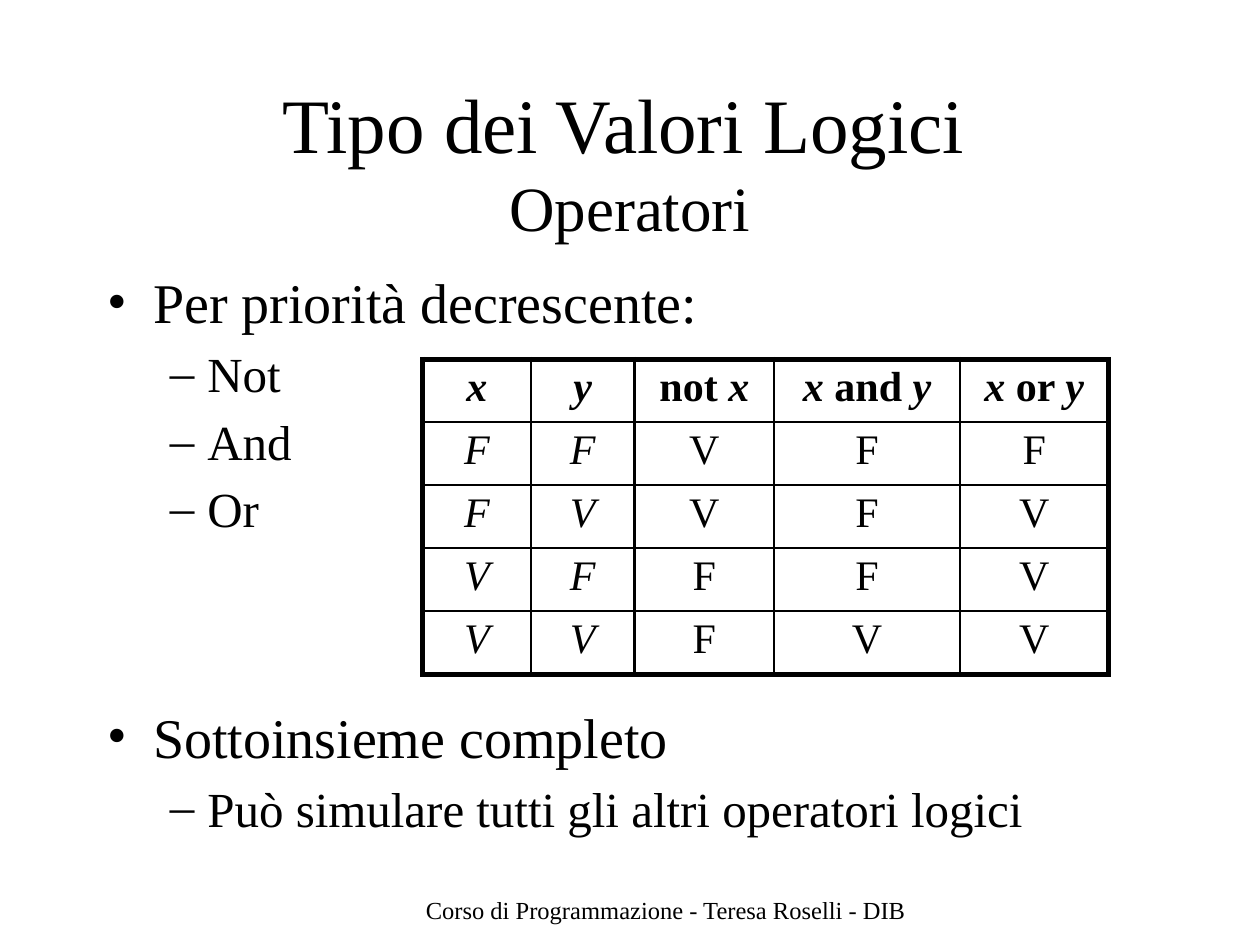
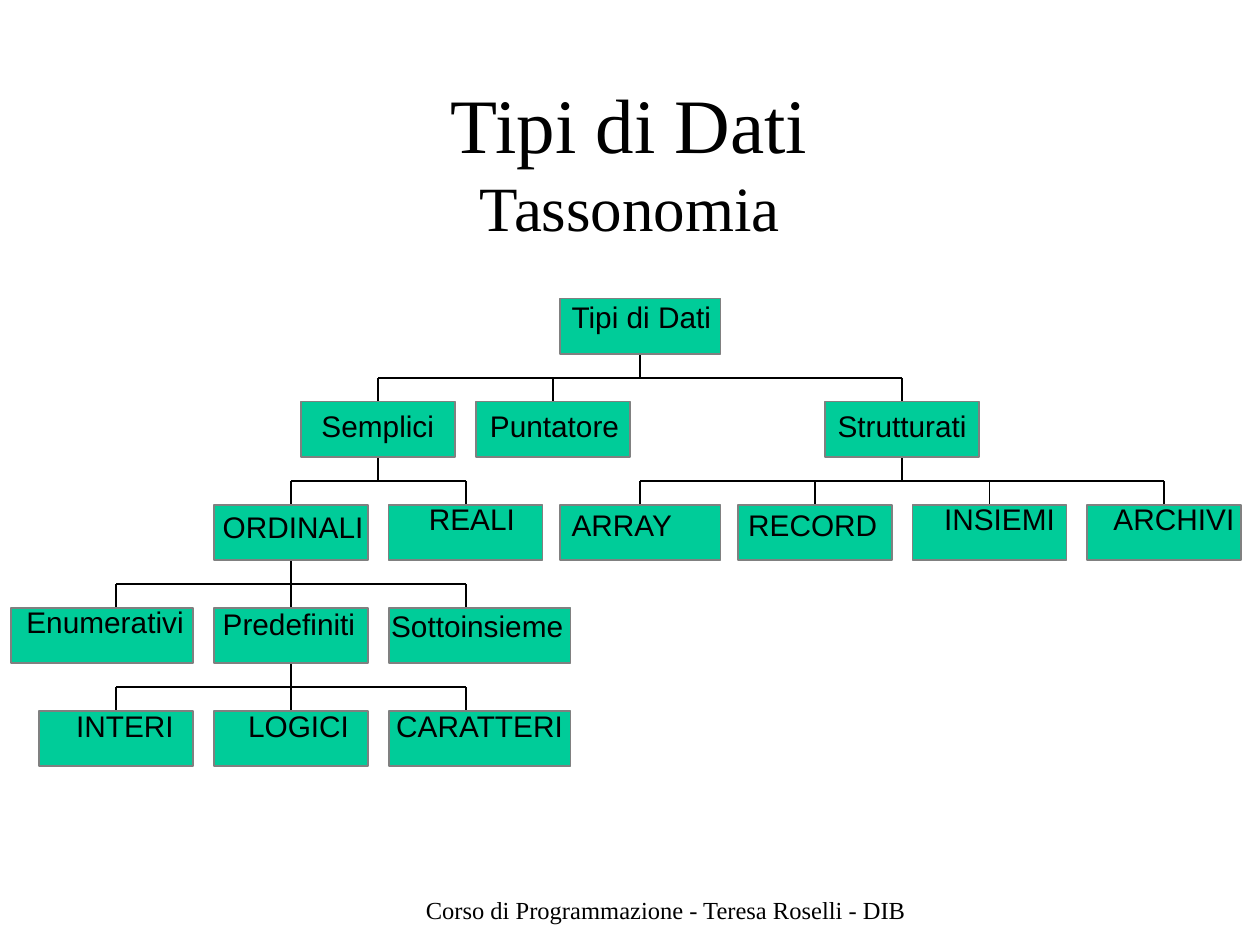
from dataclasses import dataclass

from lxml import etree
from pptx import Presentation
from pptx.dml.color import RGBColor
from pptx.enum import shapes, text
from pptx.oxml import ns
from pptx.util import Pt

COLORS = {"ink": "000000", "box": "00CC99", "box_line": "808080"}
SERIF, SANS = "Times New Roman", "Arial"
FOOTER = "Corso di Programmazione - Teresa Roselli - DIB"

BULLETS = {0: ("•", 27.5, -26, 32), 1: ("–", 58.5, -21.5, 28)}
PRIORITIES = [  # text, level, space before
    ("Per priorità decrescente:", 0, 0),
    ("Not", 1, 5),
    ("And", 1, 5),
    ("Or", 1, 5),
    ("Sottoinsieme completo", 0, 94),
    ("Può simulare tutti gli altri operatori logici", 1, 5),
]

TRUTH_TABLE = [
    ["x", "y", "not x", "x and y", "x or y"],
    ["F", "F", "V", "F", "F"],
    ["F", "V", "V", "F", "V"],
    ["V", "F", "F", "F", "V"],
    ["V", "V", "F", "V", "V"],
]
COLUMN_WIDTHS = [62, 59, 80, 106, 85]
ROW_HEIGHT = 36

TREE_LEFT, TREE_TOP = 66.5, 170.6
COLUMN_STEP, ROW_STEP = 99.8, 58.9
BOX_WIDTH, BOX_HEIGHT = 88, 31.7


@dataclass
class TypeNode:
    """A data type placed on the grid; extra widths widen its box on one side."""
    label: str
    parent: str
    column: float
    row: int
    indent: float
    inset_top: float = 0
    line_spacing: float = None
    extra_left: float = 0
    extra_right: float = 0

    @property
    def center(self):
        return TREE_LEFT + COLUMN_STEP * self.column

    @property
    def top(self):
        return TREE_TOP + ROW_STEP * self.row

    @property
    def bottom(self):
        return self.top + BOX_HEIGHT


TAXONOMY = [
    TypeNode("Tipi di Dati", "", 3, 0, 6.5, extra_left=1.8, extra_right=1.8),
    TypeNode("Semplici", "Tipi di Dati", 1.5, 1, 11.5, 3.5),
    TypeNode("Puntatore", "Tipi di Dati", 2.5, 1, 8, 3.5),
    TypeNode("Strutturati", "Tipi di Dati", 4.5, 1, 7, 3.5),
    TypeNode("ORDINALI", "Semplici", 1, 2, 5, 2.5),
    TypeNode("REALI", "Semplici", 2, 2, 23, 0, 18.4),
    TypeNode("ARRAY", "Strutturati", 3, 2, 6.5, 1.3, extra_left=1.8, extra_right=1.8),
    TypeNode("RECORD", "Strutturati", 4, 2, 5.8, 1.3),
    TypeNode("INSIEMI", "Strutturati", 5, 2, 18, 0, 18.4),
    TypeNode("ARCHIVI", "Strutturati", 6, 2, 15, 0, 18.4),
    TypeNode("Enumerativi", "ORDINALI", 0, 3, 8.6, 0, 18.4, extra_left=16),
    TypeNode("Predefiniti", "ORDINALI", 1, 3, 5, 0, 19.4),
    TypeNode("Sottoinsieme", "ORDINALI", 2, 3, 1.4, extra_right=16),
    TypeNode("INTERI", "Predefiniti", 0, 4, 21, 0, 18.5),
    TypeNode("LOGICI", "Predefiniti", 1, 4, 19.5, 0, 18.5),
    TypeNode("CARATTERI", "Predefiniti", 2, 4, 4.3, 0, 18.5, extra_right=16),
]


def color(name):
    return RGBColor.from_string(COLORS[name])


def add_run(paragraph, content, size=18, font=SERIF, bold=False, italic=False):
    run = paragraph.add_run()
    run.text = content
    run.font.size = Pt(size)
    run.font.name = font
    run.font.bold = bold
    run.font.italic = italic
    run.font.color.rgb = color("ink")


def place(shape, left, top, width, height):
    shape.left, shape.top = Pt(left), Pt(top)
    shape.width, shape.height = Pt(width), Pt(height)


def prepare_frame(shape, inset_left=0, inset_top=0):
    """Empty the insets, wrap and anchor at the top; return the first paragraph."""
    frame = shape.text_frame
    frame.word_wrap = True
    frame.auto_size = text.MSO_AUTO_SIZE.NONE
    frame.vertical_anchor = text.MSO_ANCHOR.TOP
    frame.margin_left, frame.margin_top = Pt(inset_left), Pt(inset_top)
    frame.margin_right = frame.margin_bottom = 0
    paragraph = frame.paragraphs[0]
    paragraph.alignment = text.PP_ALIGN.LEFT
    return paragraph


def write_text(shape, content, inset_left=0, inset_top=0, line_spacing=None, **style):
    paragraph = prepare_frame(shape, inset_left, inset_top)
    if line_spacing:
        paragraph.line_spacing = Pt(line_spacing)
    add_run(paragraph, content, **style)


def add_text_box(slide, content, left, top, width, height, **style):
    box = slide.shapes.add_textbox(Pt(left), Pt(top), Pt(width), Pt(height))
    write_text(box, content, **style)


def add_slide(presentation, layout, title, title_span, subtitle, subtitle_span):
    """Add a slide with title, subtitle and footer; a span is (left, width)."""
    slide = presentation.slides.add_slide(presentation.slide_layouts[layout])
    place(slide.shapes.title, title_span[0], 42.5, title_span[1], 55)
    write_text(slide.shapes.title, title, inset_left=0.7, inset_top=1, size=44)
    add_text_box(slide, subtitle, subtitle_span[0], 95.5, subtitle_span[1], 45.5,
                 inset_left=0.7, inset_top=1, size=36)
    add_text_box(slide, FOOTER, 242.6, 512, 276, 17.3,
                 inset_left=0.7, line_spacing=16.3, size=14)
    return slide


def add_bullet(paragraph, level):
    character, margin, indent, _ = BULLETS[level]
    paragraph.level = level
    properties = paragraph._p.get_or_add_pPr()
    properties.set("marL", str(int(Pt(margin))))
    properties.set("indent", str(int(Pt(indent))))
    etree.SubElement(properties, ns.qn("a:buFont")).set("typeface", SERIF)
    etree.SubElement(properties, ns.qn("a:buChar")).set("char", character)


def fill_list(body, items):
    paragraph = prepare_frame(body)
    for index, (content, level, space_before) in enumerate(items):
        if index:
            paragraph = body.text_frame.add_paragraph()
        add_bullet(paragraph, level)
        paragraph.space_before = Pt(space_before)
        add_run(paragraph, content, size=BULLETS[level][3])


def set_borders(cell, widths):
    """Draw the cell borders; widths are for left, right, top and bottom."""
    properties = cell._tc.get_or_add_tcPr()
    for index, (side, width) in enumerate(zip("LRTB", widths)):
        line = etree.Element(ns.qn(f"a:ln{side}"), w=str(int(Pt(width))))
        fill = etree.SubElement(line, ns.qn("a:solidFill"))
        etree.SubElement(fill, ns.qn("a:srgbClr")).set("val", COLORS["ink"])
        properties.insert(index, line)


def fill_cell(cell, content, header, variable):
    cell.fill.background()
    cell.margin_left = cell.margin_right = cell.margin_bottom = 0
    cell.margin_top = Pt(2.9)
    paragraph = cell.text_frame.paragraphs[0]
    paragraph.alignment = text.PP_ALIGN.CENTER
    words = content.split()
    for index, word in enumerate(words):
        gap = " " if index < len(words) - 1 else ""
        add_run(paragraph, word + gap, size=24, bold=header,
                italic=variable or word in ("x", "y"))


def add_truth_table(slide, left, top):
    row_count, column_count = len(TRUTH_TABLE), len(COLUMN_WIDTHS)
    table = slide.shapes.add_table(
        row_count, column_count, Pt(left), Pt(top),
        Pt(sum(COLUMN_WIDTHS)), Pt(ROW_HEIGHT * row_count)).table
    table.first_row = table.horz_banding = False
    for column, width in zip(table.columns, COLUMN_WIDTHS):
        column.width = Pt(width)
    for r, values in enumerate(TRUTH_TABLE):
        table.rows[r].height = Pt(ROW_HEIGHT)
        for c, value in enumerate(values):
            cell = table.cell(r, c)
            fill_cell(cell, value, header=r == 0, variable=c < 2)
            outer = (c == 0, c == column_count - 1, r == 0, r == row_count - 1)
            set_borders(cell, [3 if edge else 1.5 for edge in outer])


def add_line(slide, x1, y1, x2, y2):
    line = slide.shapes.add_connector(
        shapes.MSO_CONNECTOR.STRAIGHT, Pt(x1), Pt(y1), Pt(x2), Pt(y2))
    line.line.color.rgb = color("ink")
    line.line.width = Pt(1)
    etree.SubElement(line._element.spPr, ns.qn("a:effectLst"))


def add_branches(slide, parent, children):
    bus = (parent.bottom + children[0].top) / 2
    centers = [child.center for child in children]
    add_line(slide, parent.center, parent.bottom, parent.center, bus)
    add_line(slide, min(centers), bus, max(centers), bus)
    for child in children:
        add_line(slide, child.center, bus, child.center, child.top)


def add_type_box(slide, node):
    box = slide.shapes.add_shape(
        shapes.MSO_SHAPE.RECTANGLE,
        Pt(node.center - BOX_WIDTH / 2 - node.extra_left), Pt(node.top),
        Pt(BOX_WIDTH + node.extra_left + node.extra_right), Pt(BOX_HEIGHT))
    box.shadow.inherit = False
    box.fill.solid()
    box.fill.fore_color.rgb = color("box")
    box.line.color.rgb = color("box_line")
    box.line.width = Pt(1)
    write_text(box, node.label, inset_left=node.indent, inset_top=node.inset_top,
               line_spacing=node.line_spacing, size=17, font=SANS)


def add_taxonomy(slide):
    for parent in TAXONOMY:
        children = [node for node in TAXONOMY if node.parent == parent.label]
        if children:
            add_branches(slide, parent, children)
    for node in TAXONOMY:
        add_type_box(slide, node)


def main():
    presentation = Presentation()
    presentation.slide_width, presentation.slide_height = Pt(720), Pt(540)

    operators = add_slide(presentation, 1, "Tipo dei Valori Logici", (160.5, 400),
                          "Operatori", (290.3, 160))
    body = operators.placeholders[1]
    place(body, 60, 153, 560, 318)
    fill_list(body, PRIORITIES)
    add_truth_table(operators, 241.5, 205.3)

    taxonomy = add_slide(presentation, 5, "Tipi di Dati", (257, 215),
                         "Tassonomia", (273.6, 180))
    add_taxonomy(taxonomy)

    presentation.save("out.pptx")


if __name__ == "__main__":
    main()
